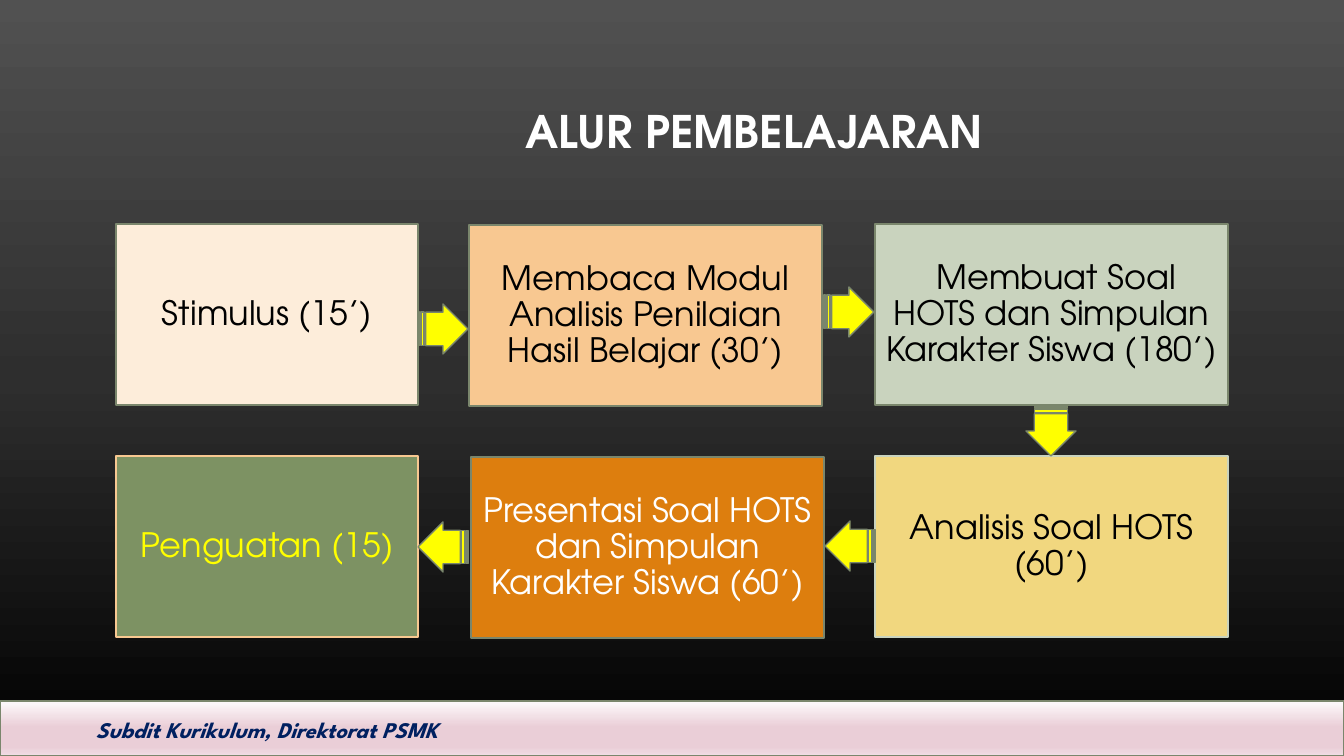
from copy import deepcopy

from pptx import Presentation
from pptx.dml.color import RGBColor
from pptx.enum.shapes import MSO_SHAPE
from pptx.enum.text import MSO_ANCHOR, PP_ALIGN
from pptx.oxml.ns import qn
from pptx.util import Emu, Pt

SCALE = 914400 / 100.8
BODY_FONT = "TeX Gyre Adventor"
OLIVE = "7A866C"


def color(value):
    return RGBColor.from_string(value)


def paint_gradient(fill, element, stops):
    fill.gradient()
    fill.gradient_angle = 270
    stop_list = next(element.iter(qn("a:gsLst")))
    while len(stop_list) < len(stops):
        stop_list.append(deepcopy(stop_list[0]))
    for stop, (position, value) in zip(fill.gradient_stops, stops):
        stop.position = position
        stop.color.rgb = color(value)


presentation = Presentation()
presentation.slide_width = Emu(round(1344 * SCALE))
presentation.slide_height = Emu(round(756 * SCALE))
slide = presentation.slides.add_slide(presentation.slide_layouts[6])
paint_gradient(slide.background.fill, slide.element,
               [(0, "515151"), (0.5, "2E2E2E"), (1, "000000")])

bounds = [Emu(round(length * SCALE)) for length in (0, 701, 1344, 55)]
footer_bar = slide.shapes.add_shape(MSO_SHAPE.RECTANGLE, *bounds)
footer_bar.shadow.inherit = False
footer_bar.line.color.rgb = color(OLIVE)
footer_bar.line.width = Pt(1)
paint_gradient(footer_bar.fill, footer_bar.element,
               [(0, "FDFAFB"), (0.48, "EACED7"), (0.84, "EACED7"), (1, "F1DEE5")])

labels = [
    ((86, 711, 386, 37), "Subdit Kurikulum, Direktorat PSMK", "002060",
     {"name": "League Spartan", "size": Pt(16), "bold": True, "italic": True},
     {"word_wrap": False}, {}),
    ((403, 79, 703, 110), "ALUR PEMBELAJARAN", "FFFFFF",
     {"name": BODY_FONT, "size": Pt(32), "bold": True},
     {"word_wrap": True, "vertical_anchor": MSO_ANCHOR.MIDDLE},
     {"alignment": PP_ALIGN.CENTER, "line_spacing": 0.9}),
]
for lengths, text, text_color, font_format, frame_format, paragraph_format in labels:
    bounds = [Emu(round(length * SCALE)) for length in lengths]
    frame = slide.shapes.add_textbox(*bounds).text_frame
    paragraph = frame.paragraphs[0]
    run = paragraph.add_run()
    run.text = text
    run.font.color.rgb = color(text_color)
    for target, values in ((frame, frame_format), (paragraph, paragraph_format),
                           (run.font, font_format)):
        for name, value in values.items():
            setattr(target, name, value)

steps = [
    (116, 224, 302, "Stimulus (15’)", "FDEDDA", OLIVE, "000000"),
    (469, 225, 353, "Membaca Modul Analisis Penilaian Hasil Belajar (30’)",
     "F8C891", OLIVE, "000000"),
    (875, 224, 353, " Membuat Soal HOTS dan Simpulan Karakter Siswa (180’)",
     "C9D3BE", OLIVE, "000000"),
    (875, 456, 353, "Analisis Soal HOTS (60’)", "F1D77F", "C9D3BE", "000000"),
    (471, 457, 353, "Presentasi Soal HOTS dan Simpulan Karakter Siswa (60’)",
     "DD7E0E", OLIVE, "FFFFFF"),
    (116, 456, 302, "Penguatan (15)", "7D9263", "F8C891", "FFFF00"),
]
step_formats = {
    "frame": {"word_wrap": True, "vertical_anchor": MSO_ANCHOR.MIDDLE},
    "paragraph": {"alignment": PP_ALIGN.CENTER, "line_spacing": 0.9},
    "font": {"name": BODY_FONT, "size": Pt(24)},
}
for left, top, width, text, fill_color, line_color, text_color in steps:
    bounds = [Emu(round(length * SCALE)) for length in (left, top, width, 181)]
    step = slide.shapes.add_shape(MSO_SHAPE.RECTANGLE, *bounds)
    step.shadow.inherit = False
    step.fill.solid()
    step.fill.fore_color.rgb = color(fill_color)
    step.line.color.rgb = color(line_color)
    step.line.width = Pt(1)
    frame = step.text_frame
    paragraph = frame.paragraphs[0]
    run = paragraph.add_run()
    run.text = text
    run.font.color.rgb = color(text_color)
    targets = {"frame": frame, "paragraph": paragraph, "font": run.font}
    for key, target in targets.items():
        for name, value in step_formats[key].items():
            setattr(target, name, value)

arrows = [(418, 304, 0), (824, 287, 0), (1026, 406, 90), (825, 521, 180), (418, 522, 180)]
for left, top, rotation in arrows:
    bounds = [Emu(round(length * SCALE)) for length in (left, top, 50, 50)]
    arrow = slide.shapes.add_shape(MSO_SHAPE.STRIPED_RIGHT_ARROW, *bounds)
    arrow.shadow.inherit = False
    arrow.adjustments[0] = 0.67
    arrow.adjustments[1] = 0.5
    arrow.rotation = rotation
    arrow.fill.solid()
    arrow.fill.fore_color.rgb = color("FFFF00")
    arrow.line.color.rgb = color(OLIVE)
    arrow.line.width = Pt(1)

presentation.save("out.pptx")
